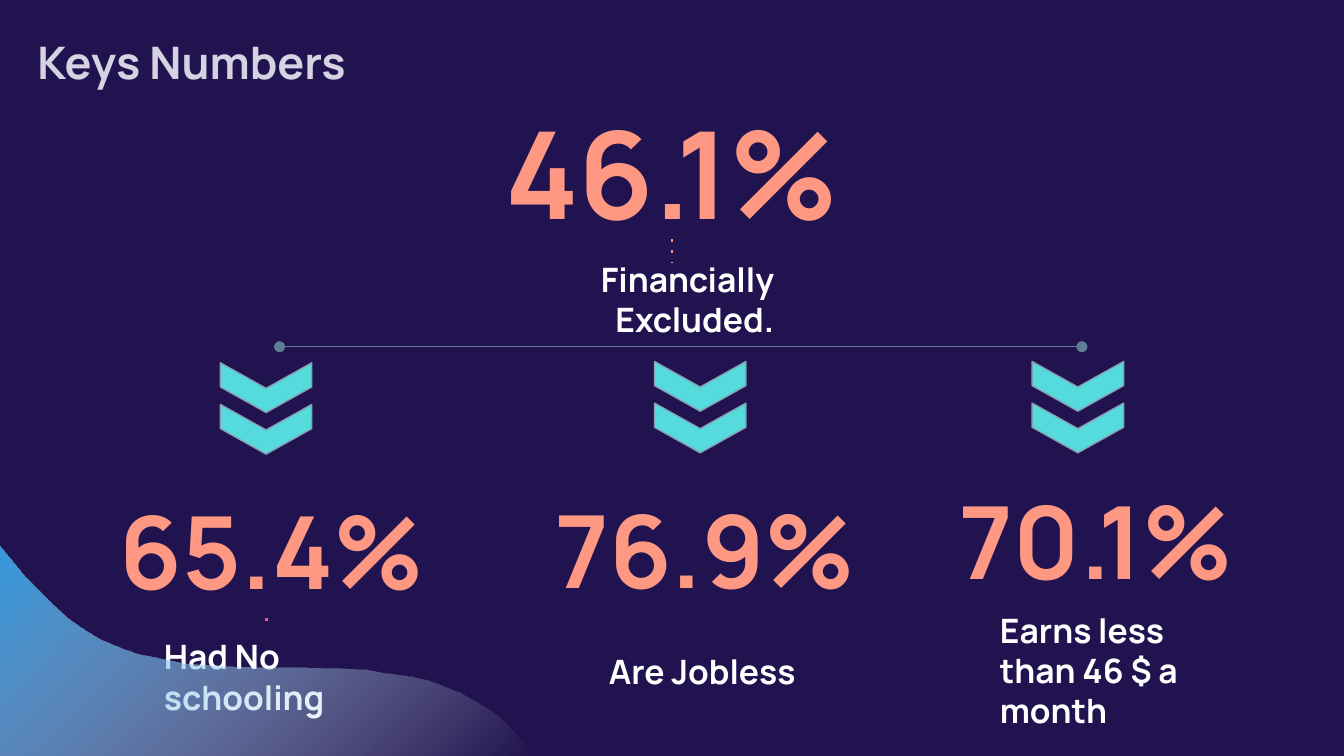
from typing import NamedTuple

import lxml.etree
import pptx
import pptx.dml.color
import pptx.enum.shapes
import pptx.enum.text
import pptx.oxml.ns
import pptx.util

Inches = pptx.util.Inches
RGBColor = pptx.dml.color.RGBColor
ALIGN = pptx.enum.text.PP_ALIGN
qn = pptx.oxml.ns.qn

NIGHT = RGBColor(0x20, 0x13, 0x4F)
LAVENDER = RGBColor(0xD5, 0xD2, 0xE2)
CORAL = RGBColor(0xFE, 0x98, 0x83)
PINK = RGBColor(0xFC, 0x55, 0x96)
WHITE = RGBColor(0xFF, 0xFF, 0xFF)
TEAL = RGBColor(0x56, 0xDB, 0xDC)
CHEVRON_EDGE = RGBColor(0x86, 0x9F, 0xB2)
SLATE = RGBColor(0x5F, 0x7D, 0x95)
SKY = RGBColor(0x36, 0x9A, 0xDE)

CAPTION_WIDTH = 1.6
CHEVRON_WIDTH, CHEVRON_DROP, CHEVRON_THICKNESS = 0.68, 0.19, 0.18
CHEVRON_PITCH = 0.31
# Room kept under each figure so that it sits above the middle of its box
FIGURE_LIFT = 0.24

WAVE = [
    (0, 4.06), (0.1, 4.18), (0.19, 4.29), (0.28, 4.38), (0.39, 4.49),
    (0.51, 4.6), (0.61, 4.67), (0.74, 4.75), (0.88, 4.81), (1.02, 4.86),
    (1.17, 4.89), (1.36, 4.93), (1.61, 4.95), (1.86, 4.96), (2.23, 4.96),
    (2.54, 4.97), (2.73, 4.98), (2.91, 5.01), (3.07, 5.03), (3.19, 5.06),
    (3.32, 5.11), (3.42, 5.15), (3.51, 5.2), (3.61, 5.26), (3.7, 5.32),
    (3.77, 5.39), (3.83, 5.45), (3.89, 5.52), (3.96, 5.62), (0, 5.62),
]


class Box(NamedTuple):
    left: float
    top: float
    width: float
    height: float


class Statistic(NamedTuple):
    figure: str
    figure_box: Box
    size: int
    caption: str
    caption_box: Box
    align: ALIGN = ALIGN.LEFT
    insets: tuple = (0.04, 0, 0, 0)


HEADLINE = Statistic("46.1%", Box(3.29, 1, 3.42, 0.78), 65, "Financially Excluded.",
                     Box(4.2, 1.95, CAPTION_WIDTH, 0.55), ALIGN.RIGHT, (0, 0, 0.04, 0))
SCHOOLING = Statistic("65.4%", Box(0.45, 3.78, 3.15, 0.86), 54, "Had No schooling",
                      Box(1.18, 4.6, CAPTION_WIDTH, 0.87))
EARNINGS = Statistic("70.1%", Box(6.54, 3.7, 3.24, 0.86), 54, "Earns less than 46 $ a month",
                     Box(7.4, 4.55, CAPTION_WIDTH, 0.87))
JOBLESS = Statistic("76.9%", Box(3.63, 3.77, 3.24, 0.86), 54, "Are Jobless",
                    Box(4.49, 4.56, CAPTION_WIDTH, 0.87))


def write(shape, text: str, size: int, color: RGBColor, align: ALIGN, insets: tuple) -> None:
    frame = shape.text_frame
    left, top, right, bottom = map(Inches, insets)
    frame_format = {
        "word_wrap": True, "vertical_anchor": pptx.enum.text.MSO_ANCHOR.MIDDLE,
        "margin_left": left, "margin_top": top,
        "margin_right": right, "margin_bottom": bottom,
    }
    for name, value in frame_format.items():
        setattr(frame, name, value)
    paragraph = frame.paragraphs[0]
    paragraph.alignment = align
    run = paragraph.add_run()
    run.text = text
    for name, value in {"name": "Manrope", "size": pptx.util.Pt(size), "bold": True}.items():
        setattr(run.font, name, value)
    run.font.color.rgb = color


def add_label(slide, text: str, box: Box, size: int, color: RGBColor,
              align: ALIGN, insets: tuple):
    label = slide.shapes.add_textbox(*map(Inches, box))
    write(label, text, size, color, align, insets)
    return label


def add_statistic(slide, stat: Statistic) -> tuple:
    figure = slide.shapes.add_shape(
        pptx.enum.shapes.MSO_SHAPE.RECTANGLE, *map(Inches, stat.figure_box))
    figure.shadow.inherit = False
    figure.fill.solid()
    figure.fill.fore_color.rgb = NIGHT
    figure.line.fill.background()
    write(figure, stat.figure, stat.size, CORAL, ALIGN.CENTER,
          (0.1, 0.1, 0.1, 0.1 + FIGURE_LIFT))
    caption = add_label(slide, stat.caption, stat.caption_box, 18, WHITE,
                        stat.align, stat.insets)
    return figure, caption


def add_line(slide, start: tuple, end: tuple, color: RGBColor, width: float, details: dict):
    line = slide.shapes.add_connector(
        pptx.enum.shapes.MSO_CONNECTOR.STRAIGHT, *map(Inches, start + end))
    line.line.color.rgb = color
    line.line.width = pptx.util.Pt(width)
    properties = line._element.spPr
    outline = properties.find(qn("a:ln"))
    for tag, attributes in details.items():
        lxml.etree.SubElement(outline, qn(tag), attributes)
    lxml.etree.SubElement(properties, qn("a:effectLst"))
    return line


def add_outline(slide, points: list):
    start, *rest = [(Inches(x), Inches(y)) for x, y in points]
    builder = slide.shapes.build_freeform(*start)
    builder.add_line_segments(rest, close=True)
    outline = builder.convert_to_shape()
    outline.shadow.inherit = False
    return outline


def add_wave(slide) -> None:
    wave = add_outline(slide, WAVE)
    wave.line.fill.background()
    wave.fill.gradient()
    wave.fill.gradient_angle = 315
    for stop, color, position in zip(wave.fill.gradient_stops, (SKY, WHITE), (0, 1)):
        stop.color.rgb = color
        stop.position = position
    # The gradient fades out completely
    faded = wave._element.spPr.findall(".//" + qn("a:srgbClr"))[-1]
    lxml.etree.SubElement(faded, qn("a:alpha"), {"val": "0"})


def add_chevrons(slide, left: float, top: float) -> None:
    middle, right = left + CHEVRON_WIDTH / 2, left + CHEVRON_WIDTH
    for y in (top, top + CHEVRON_PITCH):
        inner = y + CHEVRON_THICKNESS
        chevron = add_outline(slide, [
            (right, y), (middle, y + CHEVRON_DROP), (left, y),
            (left, inner), (middle, inner + CHEVRON_DROP), (right, inner)])
        chevron.fill.solid()
        chevron.fill.fore_color.rgb = TEAL
        chevron.line.color.rgb = CHEVRON_EDGE
        chevron.line.width = pptx.util.Pt(0.75)


def main() -> None:
    deck = pptx.Presentation()
    # Widescreen, 16 to 9
    deck.slide_width = Inches(10)
    deck.slide_height = Inches(10 * 9 / 16)
    slide = deck.slides.add_slide(deck.slide_layouts[6])
    slide.background.fill.solid()
    slide.background.fill.fore_color.rgb = NIGHT

    # Title
    add_label(slide, "Keys Numbers", Box(0.18, 0.18, 8.42, 0.55), 24, LAVENDER,
              ALIGN.LEFT, (0.1,) * 4)

    # Statistics under the wave, with their dotted links
    dotted = {"a:prstDash": {"val": "dot"}}
    _, schooling_caption = add_statistic(slide, SCHOOLING)
    headline_figure, headline_caption = add_statistic(slide, HEADLINE)
    schooling_link = add_line(slide, (1.98, 4.6), (1.98, 4.66), PINK, 1.5, dotted)
    schooling_link.begin_connect(schooling_caption, 0)
    headline_link = add_line(slide, (5, 1.78), (5, 1.95), CORAL, 1.5, dotted)
    headline_link.begin_connect(headline_figure, 2)
    headline_link.end_connect(headline_caption, 0)

    # Corner wave
    add_wave(slide)

    # Branch line and chevrons leading down to the three groups
    add_line(slide, (2.08, 2.58), (8.05, 2.58), SLATE, 0.75,
             {"a:headEnd": {"type": "oval"}, "a:tailEnd": {"type": "oval"}})
    for left, top in ((1.64, 2.7), (4.87, 2.69), (7.68, 2.69)):
        add_chevrons(slide, left, top)

    # Remaining statistics
    for stat in (EARNINGS, JOBLESS):
        add_statistic(slide, stat)

    deck.save("out.pptx")


if __name__ == "__main__":
    main()
